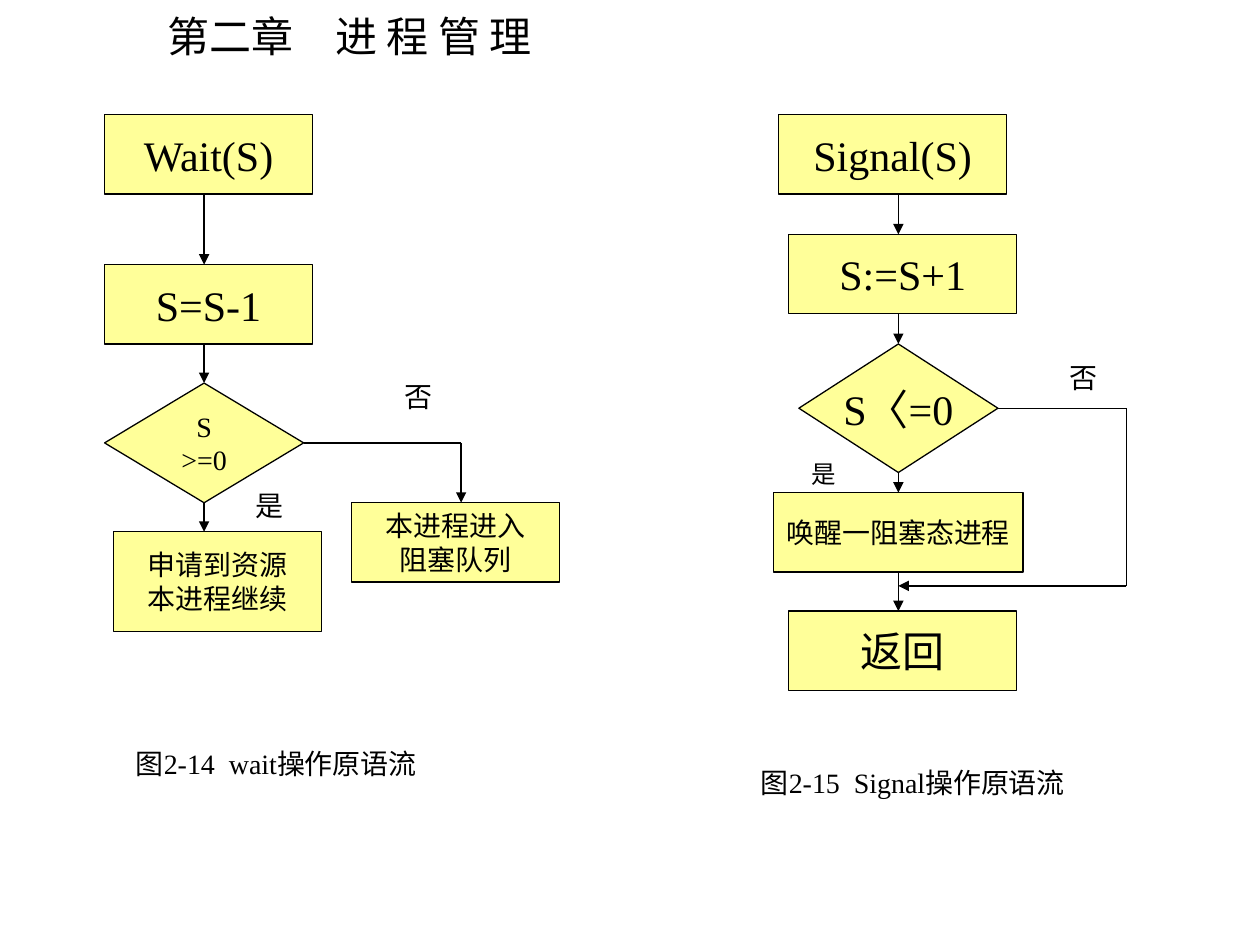
from lxml import etree
from pptx import Presentation
from pptx.dml.color import RGBColor
from pptx.enum.shapes import MSO_CONNECTOR, MSO_SHAPE
from pptx.enum.text import MSO_ANCHOR, MSO_AUTO_SIZE, PP_ALIGN
from pptx.oxml.ns import qn
from pptx.util import Inches, Pt

LATIN, CJK = "Times New Roman", "Noto Sans CJK SC"
BLACK, YELLOW = "000000", "FFFF99"
RECT, DIAMOND = MSO_SHAPE.RECTANGLE, MSO_SHAPE.DIAMOND
TOP, BOTTOM, RIGHT = 0, 2, 3


def color(hex_value):
    return RGBColor.from_string(hex_value)


def write(shape, text, size, latin=LATIN, align=PP_ALIGN.LEFT,
          anchor=MSO_ANCHOR.TOP, wrap=False):
    frame = shape.text_frame
    frame.text = text
    frame_format = {
        "word_wrap": wrap, "auto_size": MSO_AUTO_SIZE.NONE,
        "vertical_anchor": anchor,
        "margin_left": Inches(0.1), "margin_right": Inches(0.1),
        "margin_top": Inches(0.05), "margin_bottom": Inches(0.05),
    }
    for key, value in frame_format.items():
        setattr(frame, key, value)
    for paragraph in frame.paragraphs:
        paragraph.alignment = align
        for run in paragraph.runs:
            run.font.size = Pt(size)
            run.font.color.rgb = color(BLACK)
            run.font.name = latin
            east_asian = etree.SubElement(run.font._element, qn("a:ea"))
            east_asian.set("typeface", CJK)


prs = Presentation()
prs.slide_width, prs.slide_height = Inches(10), Inches(7.5)
slide = prs.slides.add_slide(prs.slide_layouts[5])

# Chapter title
title = slide.shapes.title
title_place = {"left": 1.23, "top": 0.03, "width": 3.16, "height": 0.5}
for side, length in title_place.items():
    setattr(title, side, Inches(length))
write(title, "第二章\u3000进 程 管 理".replace("\u3000", "　"), 24, latin=CJK)

# Steps of both flowcharts: kind, left, top, width, height, text, size
steps = {
    "wait": (RECT, 0.83, 0.91, 1.65, 0.63, "Wait(S)", 24),
    "decrement": (RECT, 0.83, 2.1, 1.65, 0.63, "S=S-1", 24),
    "continue": (RECT, 0.9, 4.22, 1.65, 0.79, "申请到资源\n本进程继续", 16),
    "block": (RECT, 2.79, 3.99, 1.65, 0.63, "本进程进入\n阻塞队列", 16),
    "wait test": (DIAMOND, 0.83, 3.04, 1.58, 0.95, "S\n>=0", 16),
    "signal": (RECT, 6.18, 0.91, 1.81, 0.63, "Signal(S)", 24),
    "increment": (RECT, 6.26, 1.86, 1.81, 0.63, "S:=S+1", 24),
    "wake": (RECT, 6.14, 3.91, 1.98, 0.63, "唤醒一阻塞态进程", 16),
    "return": (RECT, 6.26, 4.85, 1.81, 0.63, "返回", 24),
    "signal test": (DIAMOND, 6.34, 2.73, 1.58, 1.02, "S〈=0", 24),
}
nodes = {}
for step, (kind, left, top, width, height, text, size) in steps.items():
    node = slide.shapes.add_shape(kind, Inches(left), Inches(top),
                                  Inches(width), Inches(height))
    node.shadow.inherit = False
    node.fill.solid()
    node.fill.fore_color.rgb = color(YELLOW)
    node.line.color.rgb = color(BLACK)
    node.line.width = Pt(0.75)
    write(node, text, size, align=PP_ALIGN.CENTER, anchor=MSO_ANCHOR.MIDDLE)
    nodes[step] = node

# Flow lines: start, end, arrowhead, joined start, joined end
wait_x, block_x, wait_no_y = 1.62, 3.66, 3.515
signal_x, bypass_x, signal_no_y, merge_y = 7.13, 8.94, 3.24, 4.65
flows = [
    ((wait_x, 1.54), (wait_x, 2.1), True, None, None),
    ((wait_x, 2.73), (wait_x, 3.04), True, None, ("wait test", TOP)),
    ((wait_x, 3.99), (wait_x, 4.22), True, ("wait test", BOTTOM), None),
    ((2.41, wait_no_y), (block_x, wait_no_y), False, ("wait test", RIGHT), None),
    ((block_x, wait_no_y), (block_x, 3.99), True, None, None),
    ((signal_x, 1.54), (signal_x, 1.86), True, None, None),
    ((signal_x, 2.49), (signal_x, 2.73), True, None, ("signal test", TOP)),
    ((signal_x, 3.75), (signal_x, 3.91), True,
     ("signal test", BOTTOM), ("wake", TOP)),
    ((signal_x, 4.54), (signal_x, 4.85), True, ("wake", BOTTOM), None),
    ((7.92, signal_no_y), (bypass_x, signal_no_y), False,
     ("signal test", RIGHT), None),
    ((bypass_x, signal_no_y), (bypass_x, merge_y), False, None, None),
    ((bypass_x, merge_y), (signal_x, merge_y), True, None, None),
]
for start, end, arrow, source, target in flows:
    flow = slide.shapes.add_connector(
        MSO_CONNECTOR.STRAIGHT, *(Inches(value) for value in start + end))
    if source:
        flow.begin_connect(nodes[source[0]], source[1])
    if target:
        flow.end_connect(nodes[target[0]], target[1])
    flow.line.color.rgb = color(BLACK)
    flow.line.width = Pt(0.75)
    if arrow:
        head = etree.SubElement(flow.line._get_or_add_ln(), qn("a:tailEnd"))
        head.set("type", "triangle")
    etree.SubElement(flow._element.spPr, qn("a:effectLst"))

# Branch labels and figure captions: left, top, width, height, text, size
labels = [
    (1.93, 3.83, 0.79, 0.37, "是", 16),
    (3.11, 2.96, 0.39, 0.37, "否", 16),
    (6.34, 3.59, 0.39, 0.34, "是", 14),
    (8.39, 2.81, 0.39, 0.37, "否", 16),
    (0.98, 5.88, 2.99, 0.37, "图2-14  wait操作原语流", 16),
    (5.94, 6.03, 2.99, 0.37, "图2-15  Signal操作原语流", 16),
]
for left, top, width, height, text, size in labels:
    label = slide.shapes.add_textbox(Inches(left), Inches(top),
                                     Inches(width), Inches(height))
    write(label, text, size, wrap=True)

prs.save("out.pptx")
